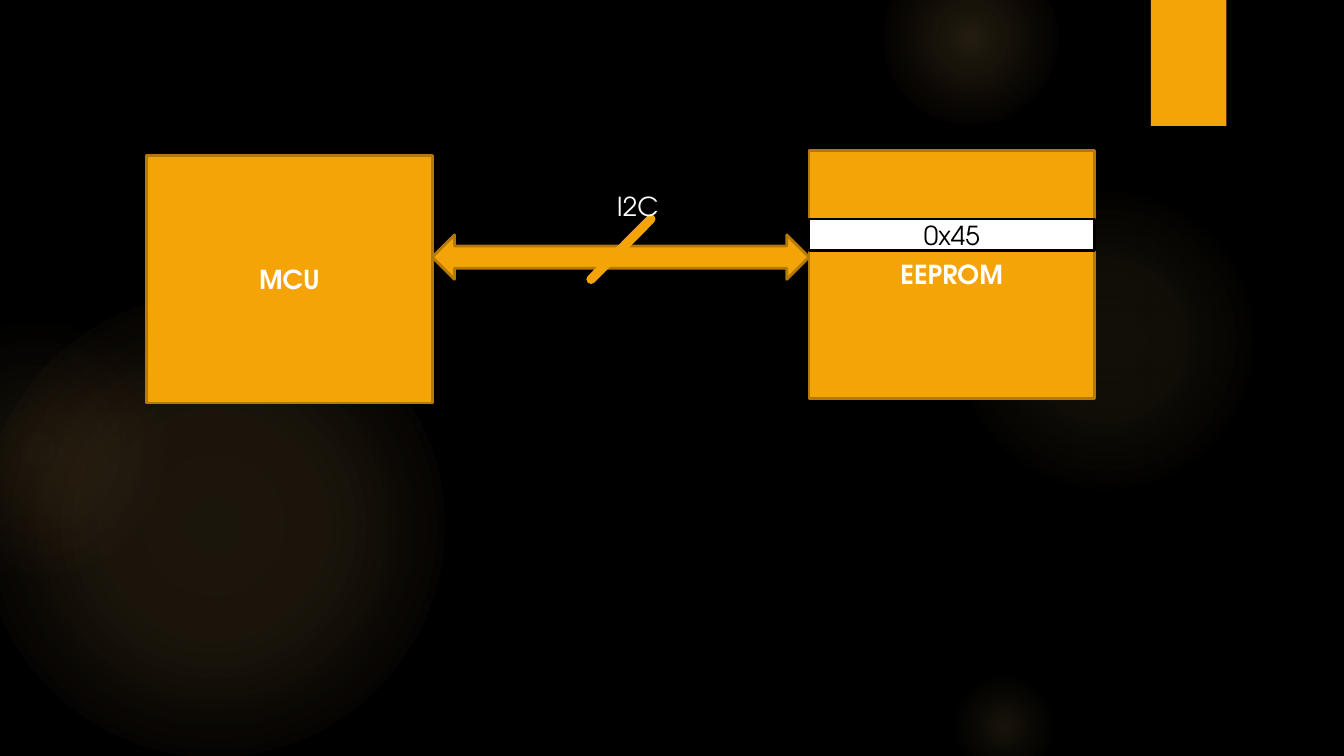
from lxml import etree
from pptx import Presentation
from pptx.dml.color import RGBColor
from pptx.enum.shapes import MSO_CONNECTOR, MSO_SHAPE
from pptx.enum.text import MSO_ANCHOR, PP_ALIGN
from pptx.oxml import parse_xml
from pptx.oxml.ns import qn
from pptx.util import Cm, Pt

RECT = MSO_SHAPE.RECTANGLE
OVAL = MSO_SHAPE.OVAL
BUS_ARROW = MSO_SHAPE.LEFT_RIGHT_ARROW
STRAIGHT = MSO_CONNECTOR.STRAIGHT
MIDDLE = MSO_ANCHOR.MIDDLE
CENTER = PP_ALIGN.CENTER
LEFT = PP_ALIGN.LEFT

DRAWING_NS = "http://schemas.openxmlformats.org/drawingml/2006/main"
COLORS = {
    "black": "000000",
    "white": "FFFFFF",
    "amber": "F5A408",
    "edge": "B57906",
    "glow": "FAC96A",
    "ember": "F59B74",
}
TEXT_FORMAT = {"name": "TeX Gyre Adventor", "size": Pt(14)}

GLOWS = [
    ((-0.33, 5.56, 8.73), [(0, "glow", 11), (36, "glow", 10), (75, "glow", 0)]),
    ((-1.75, 6.03, 4.92), [(0, "glow", 8), (36, "glow", 5), (71, "ember", 0)]),
    ((17.94, 3.49, 5.87), [(0, "glow", 7), (36, "glow", 6), (69, "glow", 0)]),
    ((16.67, -0.95, 3.33), [(0, "glow", 14), (36, "glow", 7), (73, "glow", 0)]),
    ((17.94, 12.7, 2.06), [(0, "glow", 10), (31, "glow", 5), (66, "glow", 0)]),
]


def rgb(color):
    return RGBColor.from_string(COLORS[color])


def add_block(shapes, kind, box, fill=None, edge=None):
    block = shapes.add_shape(kind, *map(Cm, box))
    block.shadow.inherit = False
    if fill:
        block.fill.solid()
        block.fill.fore_color.rgb = rgb(fill)
    else:
        block.fill.background()
    if edge:
        block.line.color.rgb = rgb(edge)
        block.line.width = Pt(1.5)
    else:
        block.line.fill.background()
    return block


def write(holder, text, color, bold=False, align=CENTER):
    paragraph = holder.text_frame.paragraphs[0]
    paragraph.alignment = align
    run = paragraph.add_run()
    run.text = text
    for attribute, value in {**TEXT_FORMAT, "bold": bold}.items():
        setattr(run.font, attribute, value)
    run.font.color.rgb = rgb(color)


def draw_glow(slide, box, stops):
    left, top, size = box
    glow = add_block(slide.shapes, OVAL, (left, top, size, size))
    stop_xml = "".join(
        f'<a:gs pos="{position * 1000}"><a:srgbClr val="{COLORS[color]}">'
        f'<a:alpha val="{alpha * 1000}"/></a:srgbClr></a:gs>'
        for position, color, alpha in stops
    )
    gradient = parse_xml(
        f'<a:gradFill xmlns:a="{DRAWING_NS}" rotWithShape="1">'
        f'<a:gsLst>{stop_xml}</a:gsLst><a:path path="circle">'
        '<a:fillToRect l="50000" t="50000" r="50000" b="50000"/>'
        '</a:path></a:gradFill>'
    )
    properties = glow._element.spPr
    properties.replace(properties.find(qn("a:noFill")), gradient)


def draw_backdrop(slide, box):
    left, top, width, _ = box
    slide.background.fill.solid()
    slide.background.fill.fore_color.rgb = rgb("black")
    for glow_box, stops in GLOWS:
        draw_glow(slide, glow_box, stops)
    add_block(slide.shapes, RECT, (left + width - 3.65, top, 1.43, 2.38), "amber")


def draw_chip(shapes, box, name):
    chip = add_block(shapes, RECT, box, "amber", "edge")
    chip.text_frame.vertical_anchor = MIDDLE
    write(chip, name, "white", bold=True)


def draw_address(shapes, box, address):
    register = add_block(shapes, RECT, box, "white", "black")
    register.text_frame.vertical_anchor = MIDDLE
    write(register, address, "black")


def draw_bus(shapes, box, name):
    left, top, width, _ = box
    add_block(shapes, BUS_ARROW, box, "amber", "edge")
    middle = left + width / 2
    slash = shapes.add_connector(
        STRAIGHT, *map(Cm, (middle + 0.57, top - 0.3, middle - 0.56, top + 0.84))
    )
    slash.line.color.rgb = rgb("amber")
    slash.line.width = Pt(5)
    properties = slash._element.spPr
    properties.find(qn("a:ln")).set("cap", "rnd")
    etree.SubElement(properties, qn("a:effectLst"))
    label = shapes.add_textbox(*map(Cm, (middle - 0.32, top - 0.96, 1.3, 0.66)))
    label.text_frame.word_wrap = False
    write(label, name, "white", align=LEFT)


def draw_diagram(slide, box):
    left, top, width, height = box
    chip_width, chip_height = 5.4, 4.68
    memory_left = left + width - chip_width
    bus_left = left + chip_width
    shapes = slide.shapes.add_group_shape().shapes
    draw_chip(shapes, (left, top + height - chip_height, chip_width, chip_height), "MCU")
    draw_chip(shapes, (memory_left, top, chip_width, chip_height), "EEPROM")
    draw_address(shapes, (memory_left, top + 1.29, chip_width, 0.59), "0x45")
    draw_bus(shapes, (bus_left, top + 1.59, memory_left - bus_left, 0.84), "I2C")


def main():
    deck = Presentation()
    width, height = 25.4, 14.29
    deck.slide_width, deck.slide_height = Cm(width), Cm(height)
    slide = deck.slides.add_slide(deck.slide_layouts[6])
    draw_backdrop(slide, (0, 0, width, height))
    draw_diagram(slide, (2.77, 2.85, 17.92, 4.77))
    deck.save("out.pptx")


if __name__ == "__main__":
    main()
